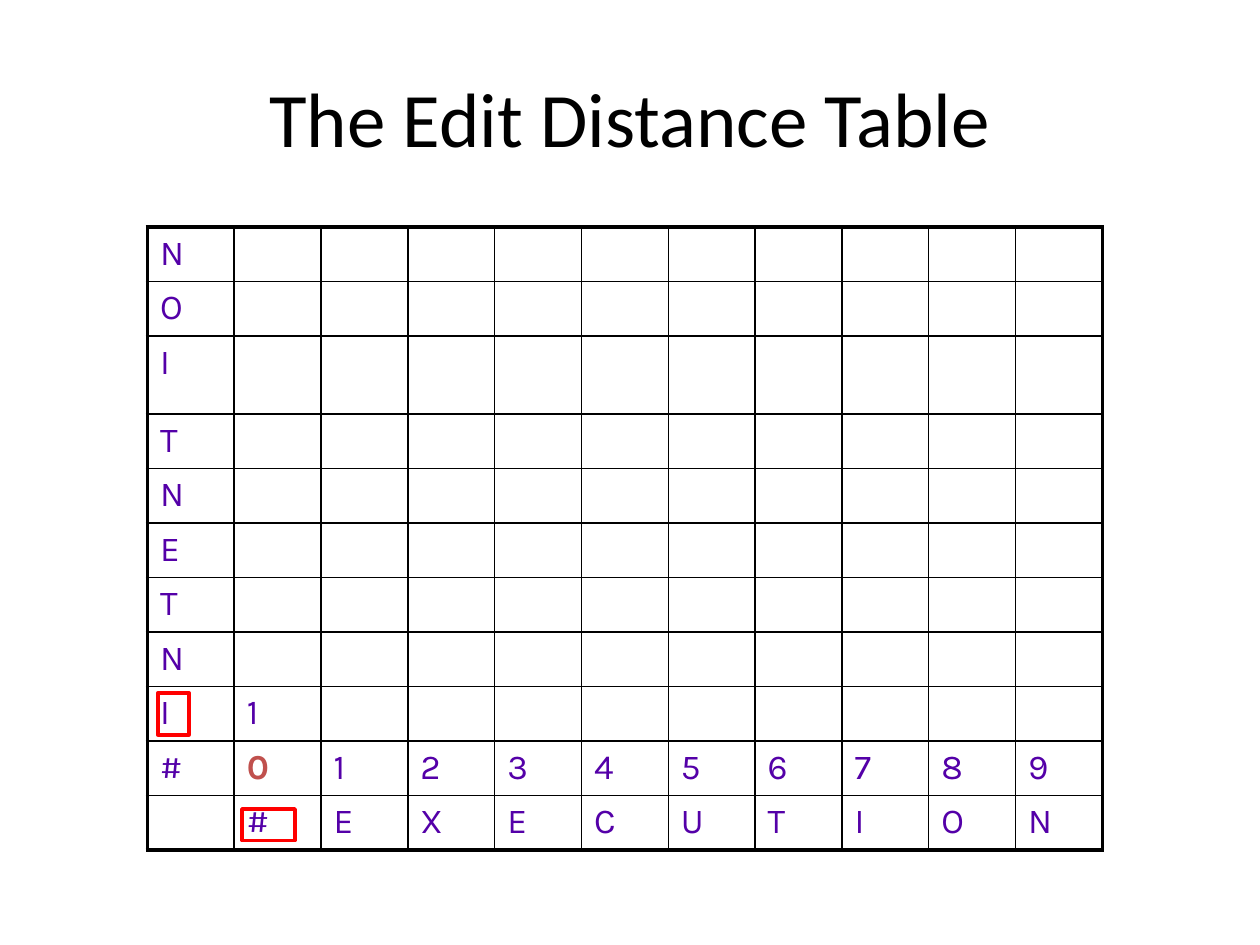
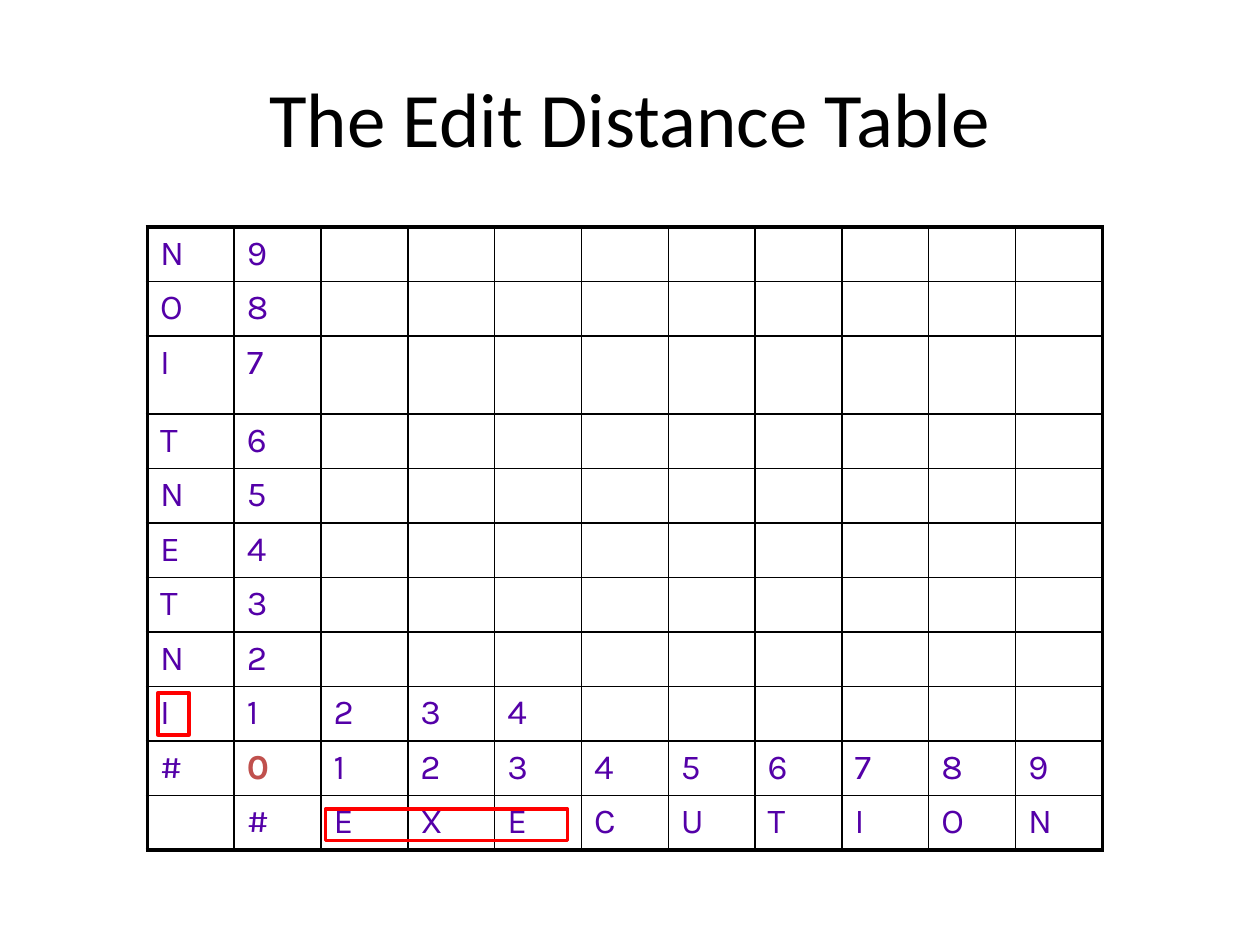
from lxml import etree
from pptx import Presentation
from pptx.dml.color import RGBColor
from pptx.enum.shapes import MSO_SHAPE
from pptx.enum.text import MSO_ANCHOR, PP_ALIGN
from pptx.oxml.ns import qn
from pptx.util import Inches, Pt

RECTANGLE = MSO_SHAPE.RECTANGLE
MIDDLE = MSO_ANCHOR.MIDDLE
CENTER = PP_ALIGN.CENTER

COLORS = {"title": "000000", "grid": "000000", "entry": "5400A8",
          "origin": "C0504D", "marker": "FF0000"}
TITLE_FONT, ENTRY_FONT = "Calibri", "Karla"
TITLE_LAYOUT = 5

# Grid: the source word runs upwards, the target word to the right
SOURCE, TARGET = "#INTENTION", "#EXECUTION"
COLUMNS, ROWS = len(TARGET) + 1, len(SOURCE) + 1
ZERO_ROW, TARGET_ROW = ROWS - 2, ROWS - 1
TALL_ROW = 2
GRID_LEFT, GRID_TOP = 1.17, 1.8
COLUMN_WIDTH = 7.58 / COLUMNS
TALL_HEIGHT = 0.62
ROW_HEIGHT = (4.95 - TALL_HEIGHT) / (ROWS - 1)
THIN, THICK = 1, 2.25

# Markers: column, row, columns wide, rows high
SOURCE_I = (0.12, 8.11, 0.36, 0.77)
TARGET_HASH = (1.09, 10.24, 0.61, 0.58)
TARGET_EXE = (2.05, 10.24, 2.79, 0.58)


def color(name):
    return RGBColor.from_string(COLORS[name])


def style_font(paragraph, face, size, color_name, bold=False):
    font = paragraph.font
    font.name, font.size, font.bold = face, Pt(size), bold
    font.color.rgb = color(color_name)


def add_title(slide, wording):
    title = slide.shapes.title
    title.left, title.top = Inches(0.5), Inches(0.3)
    title.width, title.height = Inches(9), Inches(1.25)
    frame = title.text_frame
    frame.text = wording
    frame.vertical_anchor = MIDDLE
    heading = frame.paragraphs[0]
    heading.alignment = CENTER
    style_font(heading, TITLE_FONT, 44, "title")


def set_borders(cell, row, column):
    """Thin lines inside the grid, thick ones around it."""
    on_edge = {"lnL": column == 0, "lnR": column == COLUMNS - 1,
               "lnT": row == 0, "lnB": row == ROWS - 1}
    properties = cell._tc.get_or_add_tcPr()
    for side, outer in on_edge.items():
        line = etree.SubElement(properties, qn(f"a:{side}"),
                                w=str(Pt(THICK if outer else THIN)))
        fill = etree.SubElement(line, qn("a:solidFill"))
        etree.SubElement(fill, qn("a:srgbClr"), val=COLORS["grid"])


def grid_entries(source_costs, first_row_costs):
    """Map (row, column) to the letters and distances in the grid."""
    entries = {(ZERO_ROW - i, 0): letter for i, letter in enumerate(SOURCE)}
    for j, letter in enumerate(TARGET):
        entries[TARGET_ROW, j + 1] = letter
        entries[ZERO_ROW, j + 1] = str(j)
    for cost in range(1, source_costs + 1):
        entries[ZERO_ROW - cost, 1] = str(cost)
    for j, cost in enumerate(first_row_costs):
        entries[ZERO_ROW - 1, j + 2] = str(cost)
    return entries


def add_distance_table(slide, entries):
    frame = slide.shapes.add_table(
        ROWS, COLUMNS, Inches(GRID_LEFT), Inches(GRID_TOP),
        Inches(COLUMN_WIDTH * COLUMNS),
        Inches(ROW_HEIGHT * (ROWS - 1) + TALL_HEIGHT))
    grid = frame.table
    grid.first_row = grid.horz_banding = False
    for column in grid.columns:
        column.width = Inches(COLUMN_WIDTH)
    for index, row in enumerate(grid.rows):
        row.height = Inches(TALL_HEIGHT if index == TALL_ROW else ROW_HEIGHT)
        for column, cell in enumerate(row.cells):
            set_borders(cell, index, column)
            cell.fill.background()
            cell.text = entries.get((index, column), "")
            origin = (index, column) == (ZERO_ROW, 1)
            style_font(cell.text_frame.paragraphs[0], ENTRY_FONT, 20,
                       "origin" if origin else "entry", bold=origin)


def add_marker(slide, column, row, columns_wide, rows_high):
    extra = TALL_HEIGHT - ROW_HEIGHT if row > TALL_ROW else 0
    marker = slide.shapes.add_shape(
        RECTANGLE,
        Inches(GRID_LEFT + column * COLUMN_WIDTH),
        Inches(GRID_TOP + row * ROW_HEIGHT + extra),
        Inches(columns_wide * COLUMN_WIDTH), Inches(rows_high * ROW_HEIGHT))
    marker.shadow.inherit = False
    marker.fill.background()
    marker.line.color.rgb = color("marker")
    marker.line.width = Pt(2)


def add_step(deck, entries, markers):
    slide = deck.slides.add_slide(deck.slide_layouts[TITLE_LAYOUT])
    add_title(slide, "The Edit Distance Table")
    add_distance_table(slide, entries)
    for marker in markers:
        add_marker(slide, *marker)


def main():
    deck = Presentation()
    deck.slide_width, deck.slide_height = Inches(10), Inches(7.5)

    # First cost: I against the empty string
    add_step(deck, grid_entries(1, []), [SOURCE_I, TARGET_HASH])
    # Full first column, and I against E, EX and EXE
    add_step(deck, grid_entries(9, [2, 3, 4]), [TARGET_EXE, SOURCE_I])

    deck.save("out.pptx")


if __name__ == "__main__":
    main()
